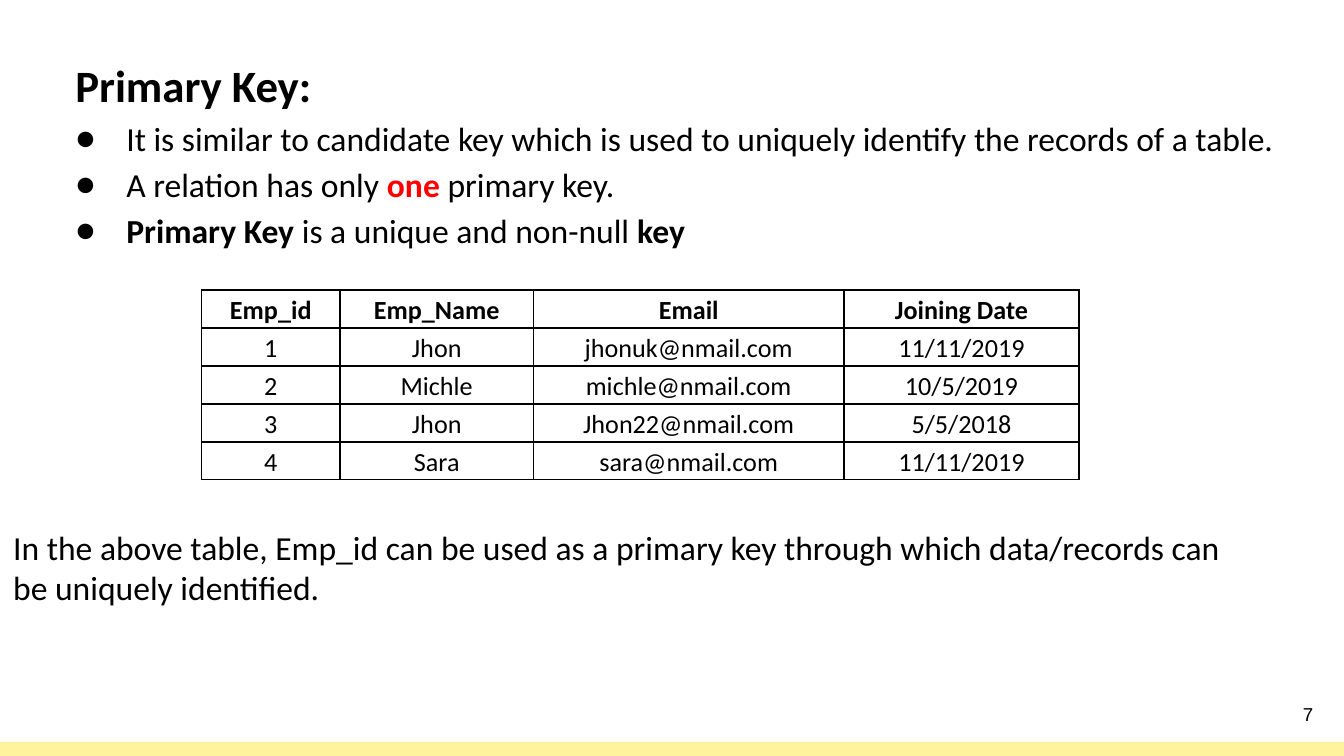
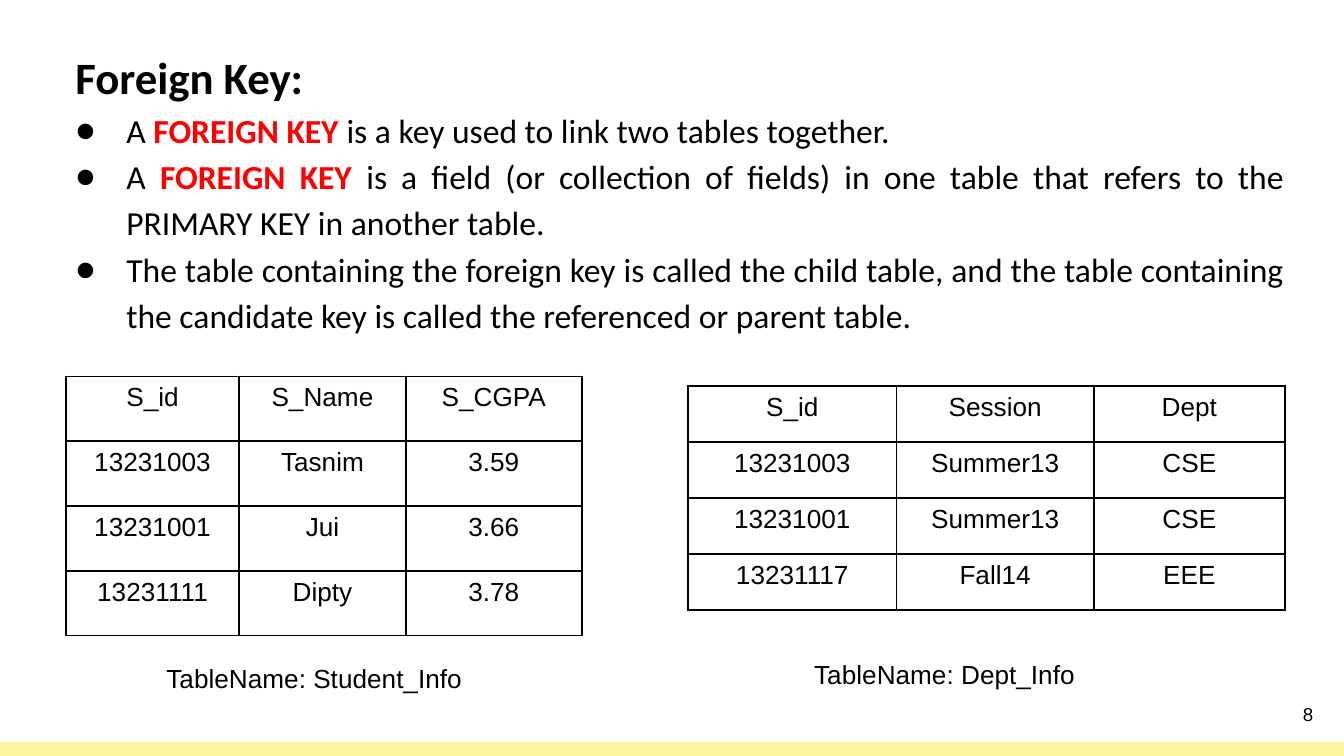
from typing import NamedTuple

from lxml import etree
from pptx import Presentation
from pptx import util as u
from pptx.dml.color import RGBColor
from pptx.enum import shapes, text
from pptx.oxml.ns import qn

BLACK, RED, YELLOW, WHITE = "000000", "FF0000", "FFF39D", "FFFFFF"
BODY_FONT, PLAIN_FONT = "Calibri", "Arial"
LEFT, CENTER, RIGHT, JUSTIFY = (
    text.PP_ALIGN.LEFT, text.PP_ALIGN.CENTER, text.PP_ALIGN.RIGHT, text.PP_ALIGN.JUSTIFY)
TITLE_HEIGHT = 0.56


class Run(NamedTuple):
    text: str
    bold: bool = False
    color: str = BLACK


class Grid(NamedTuple):
    left: float
    top: float
    cols: list[float]
    height: float
    rows: list[str]
    font: str = PLAIN_FONT
    bold_header: bool = False
    spacing: float = 1.0
    margins: tuple[float, float] = (0.1, 0.05)


class Note(NamedTuple):
    text: str
    box: tuple[float, float, float, float]
    size: int = 14
    font: str = PLAIN_FONT
    wrap: bool = False


class Page(NamedTuple):
    number: int
    title: str
    top: float
    height: float
    align: text.PP_ALIGN
    bullets: list[list[Run]]
    grids: list[Grid]
    notes: list[Note]


PAGES = [
    Page(
        7, "Primary Key:", 0.27, 4.72, LEFT,
        [
            [Run("It is similar to candidate key which is used to uniquely "
                 "identify the records of a table.")],
            [Run("A relation has only "), Run("one", True, RED), Run(" primary key.")],
            [Run("Primary Key", True), Run(" is a unique and non-null "), Run("key", True)],
        ],
        [Grid(1.5, 2.16, [1.03, 1.44, 2.31, 1.75], 1.41, [
            "Emp_id|Emp_Name|Email|Joining Date",
            "1|Jhon|jhonuk@nmail.com|11/11/2019",
            "2|Michle|michle@nmail.com|10/5/2019",
            "3|Jhon|Jhon22@nmail.com|5/5/2018",
            "4|Sara|sara@nmail.com|11/11/2019",
        ], BODY_FONT, True, 1.15, (0.07, 0))],
        [Note("In the above table, Emp_id can be used as a primary key through which "
              "data/records can be uniquely identified.",
              (0, 3.87, 9.32, 0.71), 18, BODY_FONT, True)],
    ),
    Page(
        8, "Foreign Key:", 0.21, 5.07, JUSTIFY,
        [
            [Run("A "), Run("FOREIGN KEY ", True, RED),
             Run("is a key used to link two tables together.")],
            [Run("A "), Run("FOREIGN KEY ", True, RED),
             Run("is a field (or collection of fields) in one table that refers to "
                 "the PRIMARY KEY in another table.")],
            [Run("The table containing the foreign key is called the child table, and the "
                 "table containing the candidate key is called the referenced or parent table.")],
        ],
        [
            Grid(0.49, 2.8, [1.29, 1.24, 1.31], 1.93, [
                "S_id|S_Name|S_CGPA",
                "13231003|Tasnim|3.59",
                "13231001|Jui|3.66",
                "13231111|Dipty|3.78",
            ]),
            Grid(5.12, 2.87, [1.55, 1.47, 1.42], 1.67, [
                "S_id|Session|Dept",
                "13231003|Summer13|CSE",
                "13231001|Summer13|CSE",
                "13231117|Fall14|EEE",
            ]),
        ],
        [
            Note("TableName: Student_Info", (1.14, 4.88, 2.43, 0.34)),
            Note("TableName: Dept_Info", (5.96, 4.85, 2.17, 0.34)),
        ],
    ),
]


def rgb(color: str) -> RGBColor:
    return RGBColor.from_string(color)


def place(sp, left: float, top: float, width: float, height: float) -> None:
    sp.left, sp.top = u.Inches(left), u.Inches(top)
    sp.width, sp.height = u.Inches(width), u.Inches(height)


def set_margins(frame, left: float, top: float, right: float, bottom: float) -> None:
    frame.margin_left, frame.margin_top = u.Inches(left), u.Inches(top)
    frame.margin_right, frame.margin_bottom = u.Inches(right), u.Inches(bottom)


def write(p, runs: list[Run], *, size: int, font: str = BODY_FONT, align=LEFT,
          spacing: float = 1.0, hanging: bool = False, bullet: str = "") -> None:
    p.alignment, p.line_spacing = align, spacing
    p.space_before = p.space_after = u.Pt(0)
    ppr = p._p.get_or_add_pPr()
    if hanging:
        ppr.set("marL", str(u.Inches(0.5)))
        ppr.set("indent", str(u.Inches(-0.38)))
    if bullet:
        clr = etree.SubElement(ppr, qn("a:buClr"))
        etree.SubElement(clr, qn("a:srgbClr"), val=BLACK)
        etree.SubElement(ppr, qn("a:buFont"), typeface=font)
        etree.SubElement(ppr, qn("a:buChar"), char=bullet)
    for run in runs:
        r = p.add_run()
        r.text = run.text
        r.font.size, r.font.name, r.font.bold = u.Pt(size), font, run.bold
        r.font.color.rgb = rgb(run.color)


def add_heading(s, page: Page) -> None:
    sp = s.shapes.title
    place(sp, 0.34, page.top, 9.32, TITLE_HEIGHT)
    tf = sp.text_frame
    tf.auto_size, tf.vertical_anchor = text.MSO_AUTO_SIZE.NONE, text.MSO_ANCHOR.TOP
    set_margins(tf, 0.1, 0.1, 0.1, 0)
    write(tf.paragraphs[0], [Run(page.title, True)], size=24, spacing=1.15, hanging=True)


def add_bullets(s, page: Page) -> None:
    sp = s.placeholders[1]
    place(sp, 0.34, page.top + TITLE_HEIGHT, 9.32, page.height - TITLE_HEIGHT)
    tf = sp.text_frame
    tf.auto_size = text.MSO_AUTO_SIZE.NONE
    set_margins(tf, 0.1, 0, 0.1, 0.1)
    for i, runs in enumerate(page.bullets):
        p = tf.add_paragraph() if i else tf.paragraphs[0]
        write(p, runs, size=18, align=page.align, spacing=1.15, hanging=True, bullet="●")


def add_borders(cell) -> None:
    tcpr = cell._tc.get_or_add_tcPr()
    for side in ("a:lnL", "a:lnR", "a:lnT", "a:lnB"):
        ln = etree.SubElement(tcpr, qn(side), w=str(u.Pt(1)))
        fill = etree.SubElement(ln, qn("a:solidFill"))
        etree.SubElement(fill, qn("a:srgbClr"), val=BLACK)


def add_grid(s, grid: Grid) -> None:
    rows = [row.split("|") for row in grid.rows]
    sp = s.shapes.add_table(
        len(rows), len(grid.cols), u.Inches(grid.left), u.Inches(grid.top),
        u.Inches(sum(grid.cols)), u.Inches(grid.height))
    table = sp.table
    table.first_row = table.horz_banding = False
    for col, width in zip(table.columns, grid.cols):
        col.width = u.Inches(width)
    x, y = grid.margins
    for i, values in enumerate(rows):
        table.rows[i].height = u.Inches(grid.height / len(rows))
        for j, value in enumerate(values):
            cell = table.cell(i, j)
            set_margins(cell, x, y, x, y)
            add_borders(cell)
            cell.fill.background()
            write(cell.text_frame.paragraphs[0], [Run(value, grid.bold_header and i == 0)],
                  size=14, font=grid.font, align=CENTER, spacing=grid.spacing)


def add_note(s, note: Note) -> None:
    tf = s.shapes.add_textbox(*map(u.Inches, note.box)).text_frame
    tf.word_wrap = note.wrap
    tf.auto_size = text.MSO_AUTO_SIZE.SHAPE_TO_FIT_TEXT
    write(tf.paragraphs[0], [Run(note.text)], size=note.size, font=note.font)


def add_number(s, number: int) -> None:
    box = (9.27, 5.1, 0.6, 0.43)
    tf = s.shapes.add_textbox(*map(u.Inches, box)).text_frame
    tf.word_wrap, tf.vertical_anchor = True, text.MSO_ANCHOR.MIDDLE
    set_margins(tf, 0.1, 0.1, 0.1, 0.1)
    write(tf.paragraphs[0], [Run(str(number))], size=10, font=PLAIN_FONT, align=RIGHT)


def add_master_band(prs, s) -> None:
    band = (0, 5.52, 10, 0.11)
    sp = s.shapes.add_shape(shapes.MSO_SHAPE.RECTANGLE, *map(u.Inches, band))
    sp.shadow.inherit = False
    sp.fill.solid()
    sp.fill.fore_color.rgb = rgb(YELLOW)
    sp.line.fill.background()
    prs.slide_master.shapes._spTree.insert(2, sp._element)


def main() -> None:
    prs = Presentation()
    prs.slide_width = u.Inches(10)
    prs.slide_height = prs.slide_width * 9 // 16
    fill = prs.slide_master.background.fill
    fill.solid()
    fill.fore_color.rgb = rgb(WHITE)
    for page in PAGES:
        s = prs.slides.add_slide(prs.slide_layouts[1])
        if page is PAGES[0]:
            add_master_band(prs, s)
        add_heading(s, page)
        add_bullets(s, page)
        for grid in page.grids:
            add_grid(s, grid)
        for note in page.notes:
            add_note(s, note)
        add_number(s, page.number)
    prs.save("out.pptx")


if __name__ == "__main__":
    main()
